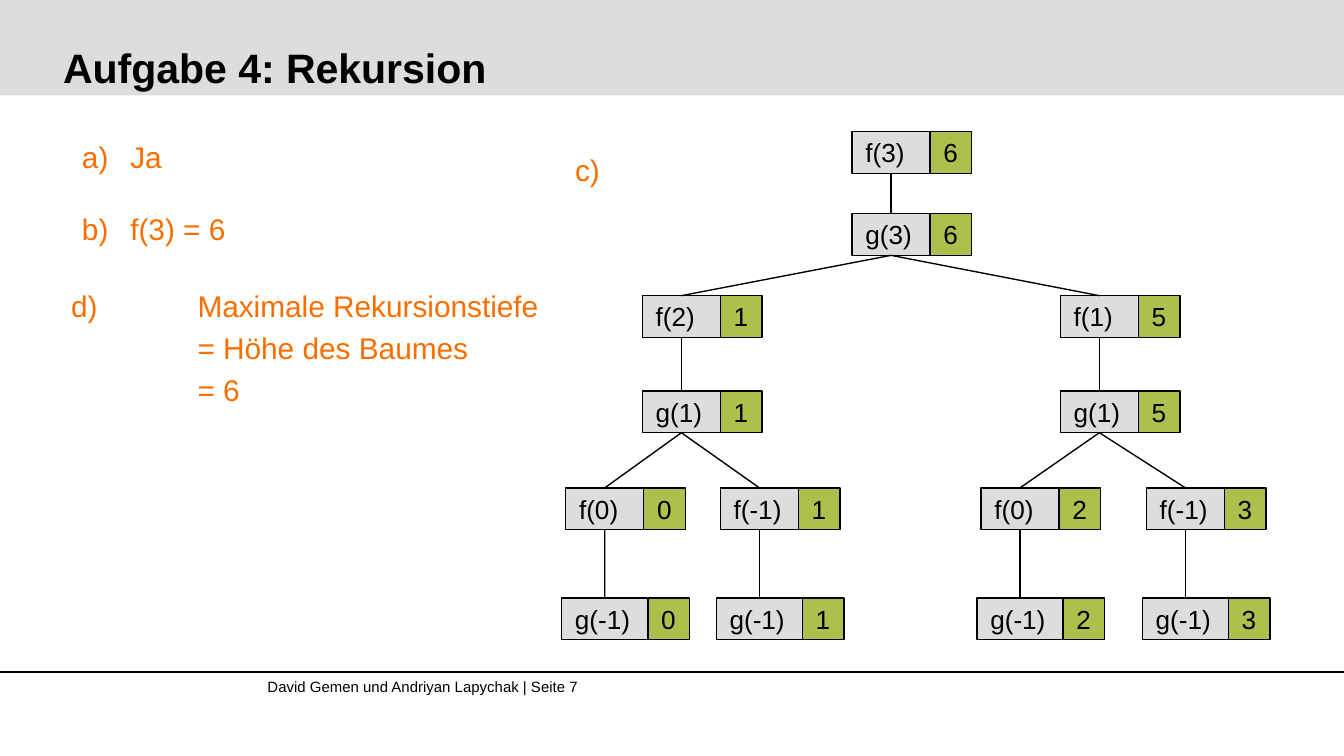
from dataclasses import dataclass

from lxml import etree
from pptx import Presentation
from pptx import util as u
from pptx.dml.color import RGBColor
from pptx.enum import shapes, text
from pptx.oxml.ns import qn


@dataclass(frozen=True)
class Theme:
    font: str = "Arial"
    ink: str = "000000"
    answer: str = "FA6E00"
    grey: str = "DDDDDD"
    green: str = "ADBF4D"
    title_size: int = 22
    body_size: int = 16
    node_size: int = 14
    footer_size: int = 8
    rule: float = 0.75


THEME = Theme()
SLIDE_W = 10
SLIDE_H = SLIDE_W * 9 / 16
MARGIN = 0.47
BODY_TOP = 1.03

# Call tree: centre of each column, top of each level
COLS = (4.5, 5.07, 5.65, 6.63, 7.59, 8.18, 8.82)
ROWS = (0.98, 1.59, 2.2, 2.91, 3.63, 4.45)
CELL_H = 0.31
CALL_W, WIDE_CALL_W = 0.58, 0.64

# (call, result, column, row, index of the caller)
CALLS = (
    ("f(3)", 6, 3, 0, None),
    ("g(3)", 6, 3, 1, 0),
    ("f(2)", 1, 1, 2, 1),
    ("f(1)", 5, 5, 2, 1),
    ("g(1)", 1, 1, 3, 2),
    ("g(1)", 5, 5, 3, 3),
    ("f(0)", 0, 0, 4, 4),
    ("f(-1)", 1, 2, 4, 4),
    ("f(0)", 2, 4, 4, 5),
    ("f(-1)", 3, 6, 4, 5),
    ("g(-1)", 0, 0, 5, 6),
    ("g(-1)", 1, 2, 5, 7),
    ("g(-1)", 2, 4, 5, 8),
    ("g(-1)", 3, 6, 5, 9),
)

# (text, left margin, first-line indent, space before, numbered)
ANSWERS = (
    ("Ja", 0.5, -0.36, 3.2, True),
    ("f(3) = 6", 0.5, -0.36, 19.3, True),
    ("d)\tMaximale Rekursionstiefe", 1, -0.94, 22.5, False),
    ("= Höhe des Baumes", 1, 0, 3.2, False),
    ("= 6", 1, 0, 3.2, False),
)


def rgb(color):
    return RGBColor.from_string(color)


def set_all(obj, values):
    for name, value in values.items():
        setattr(obj, name, value)


def set_frame(tf, inset, anchor=text.MSO_ANCHOR.TOP):
    set_all(tf, {"word_wrap": True, "vertical_anchor": anchor})
    sides = ("left", "top", "right", "bottom")
    set_all(tf, {f"margin_{side}": u.Inches(inset) for side in sides})


def write(p, words, size, color=THEME.ink, bold=False):
    p.alignment = text.PP_ALIGN.LEFT
    r = p.add_run()
    r.text = words
    set_all(r.font, {"name": THEME.font, "size": u.Pt(size), "bold": bold})
    r.font.color.rgb = rgb(color)


def add_text(s, box, inset=0, anchor=text.MSO_ANCHOR.TOP):
    tf = s.shapes.add_textbox(*map(u.Inches, box)).text_frame
    set_frame(tf, inset, anchor)
    return tf


def add_rect(s, box, fill):
    sp = s.shapes.add_shape(shapes.MSO_SHAPE.RECTANGLE, *map(u.Inches, box))
    sp.shadow.inherit = False
    sp.fill.solid()
    sp.fill.fore_color.rgb = rgb(fill)
    sp.line.fill.background()
    return sp


def add_cell(s, box, fill, words):
    sp = add_rect(s, box, fill)
    sp.line.color.rgb = rgb(THEME.ink)
    sp.line.width = u.Pt(THEME.rule)
    set_frame(sp.text_frame, 0.1, text.MSO_ANCHOR.MIDDLE)
    write(sp.text_frame.paragraphs[0], words, THEME.node_size)
    return sp


def add_line(s, start=(0, 0), end=(0, 0)):
    line = s.shapes.add_connector(
        shapes.MSO_CONNECTOR.STRAIGHT, *map(u.Inches, (*start, *end)))
    line.line.color.rgb = rgb(THEME.ink)
    line.line.width = u.Pt(THEME.rule)
    etree.SubElement(line._element.spPr, qn("a:effectLst"))
    return line


def add_call(s, call, result, col, row):
    """Draw a call with its result beside it; return the call's box."""
    width = WIDE_CALL_W if call == "g(-1)" else CALL_W
    left, top = COLS[col] - width / 2, ROWS[row]
    sp = add_cell(s, (left, top, width, CELL_H), THEME.grey, call)
    add_cell(s, (left + width, top, CELL_H, CELL_H), THEME.green, str(result))
    return sp


def add_tree(s):
    nodes = []
    for *node, caller in CALLS:
        sp = add_call(s, *node)
        nodes.append(sp)
        if caller is not None:
            line = add_line(s)
            line.begin_connect(nodes[caller], 2)
            line.end_connect(sp, 0)


def add_answers(s):
    tf = add_text(s, (MARGIN, BODY_TOP, 3.7, 3.69))
    for i, (words, margin, indent, before, numbered) in enumerate(ANSWERS):
        p = tf.add_paragraph() if i else tf.paragraphs[0]
        p.space_before = u.Pt(before)
        pPr = p._p.get_or_add_pPr()
        pPr.set("marL", str(u.Inches(margin)))
        pPr.set("indent", str(u.Inches(indent)))
        if numbered:
            etree.SubElement(pPr, qn("a:buAutoNum"), type="alphaLcParenR")
        write(p, words, THEME.body_size, THEME.answer)


def add_frame(s):
    """Header band, title, footer rule and footer."""
    add_rect(s, (0, 0, SLIDE_W, 0.71), THEME.grey)
    title = add_text(s, (MARGIN, 0.1, 9.16, 0.58), anchor=text.MSO_ANCHOR.BOTTOM)
    write(title.paragraphs[0], "Aufgabe 4: Rekursion", THEME.title_size, bold=True)
    add_line(s, (0, 5), (SLIDE_W, 5))
    footer = add_text(s, (1.99, 5.04, 4.22, 0.27))
    write(footer.paragraphs[0], "David Gemen und Andriyan Lapychak | Seite 7",
          THEME.footer_size)


def main():
    prs = Presentation()
    prs.slide_width, prs.slide_height = u.Inches(SLIDE_W), u.Inches(SLIDE_H)
    s = prs.slides.add_slide(prs.slide_layouts[6])
    add_frame(s)
    add_answers(s)
    add_tree(s)
    label = add_text(s, (4.18, BODY_TOP, 0.52, 0.47), inset=0.1)
    write(label.paragraphs[0], "c)", THEME.body_size, THEME.answer)
    prs.save("out.pptx")


if __name__ == "__main__":
    main()
